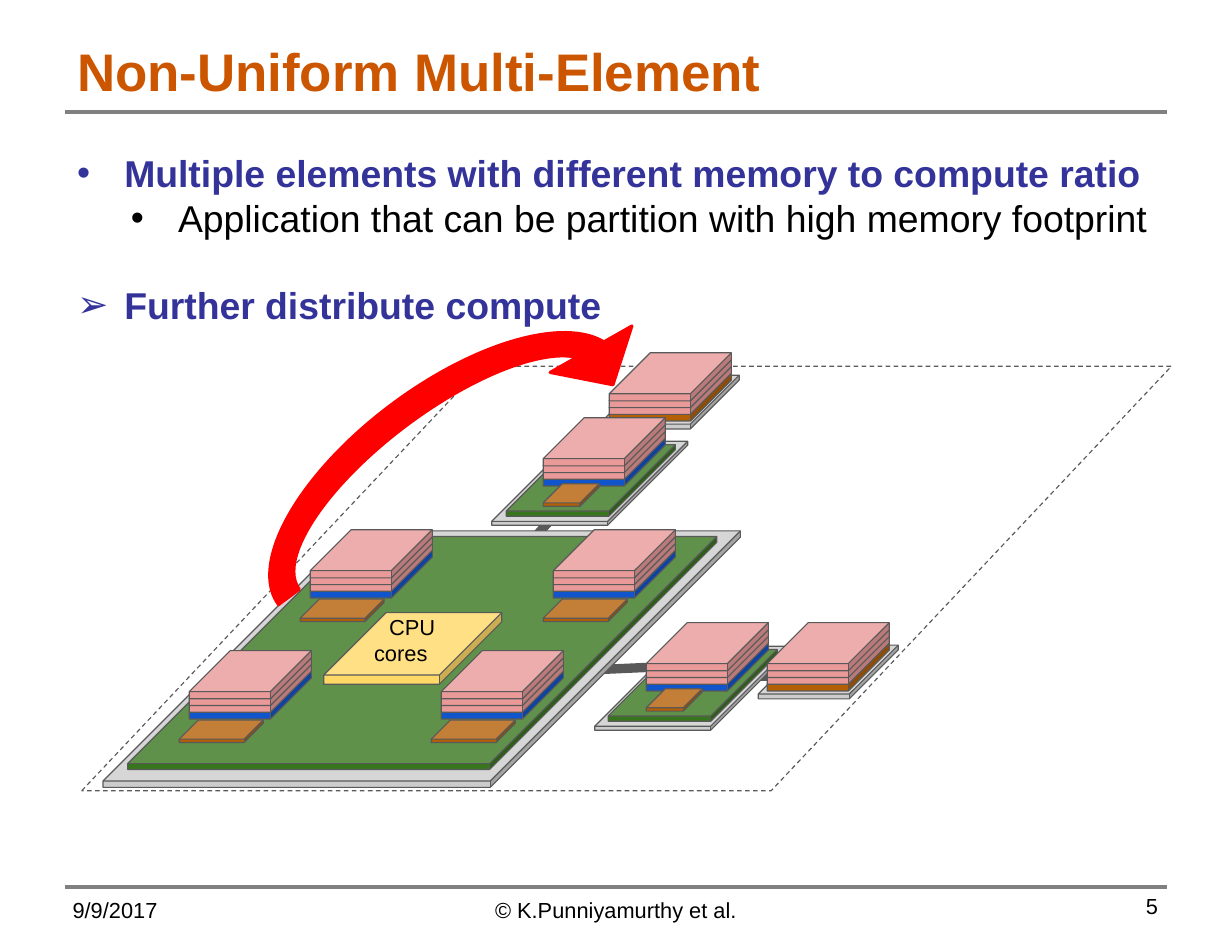
from dataclasses import dataclass
from typing import NamedTuple

from lxml.etree import SubElement
from pptx import Presentation
from pptx.dml.color import RGBColor
from pptx.enum.dml import MSO_LINE
from pptx.enum.shapes import MSO_CONNECTOR, MSO_SHAPE
from pptx.enum.text import MSO_ANCHOR, PP_ALIGN
from pptx.oxml.ns import qn
from pptx.util import Emu, Pt

SCALE = 9144  # EMU per px, 100 px to the inch
FONT = "Arial"

ORANGE = RGBColor(0xCC, 0x55, 0x00)
NAVY = RGBColor(0x33, 0x33, 0x99)
BLACK = RGBColor(0x00, 0x00, 0x00)
RULE_GRAY = RGBColor(0x80, 0x80, 0x80)
OUTLINE = RGBColor(0x59, 0x59, 0x59)
PLATE = RGBColor(0xCC, 0xCC, 0xCC)
GREEN = RGBColor(0x38, 0x76, 0x1D)
BROWN = RGBColor(0xB4, 0x5F, 0x06)
BLUE = RGBColor(0x11, 0x55, 0xCC)
PINK = RGBColor(0xEA, 0x99, 0x99)
YELLOW = RGBColor(0xFF, 0xD9, 0x66)
RED = RGBColor(0xFF, 0x00, 0x00)


class Slab(NamedTuple):
    """A kind of cube: size, depth and colour."""
    w: int
    h: int
    depth: float
    color: RGBColor


BOARD_PLATE = Slab(569, 229, 0.975, PLATE)
BOARD = Slab(526, 208, 0.975, GREEN)
NODE_PLATE = Slab(175, 75, 0.953, PLATE)
NODE = Slab(151, 64, 0.927, GREEN)
MEMORY_PLATE = Slab(125, 48, 0.91, PLATE)
CPU = Slab(159, 64, 0.871, YELLOW)
ACCELERATOR = Slab(75, 20, 0.851, BROWN)
NODE_ACCELERATOR = Slab(50, 20, 0.851, BROWN)
DRAM = Slab(109, 43, 0.851, PINK)
LOGIC = DRAM._replace(color=BLUE)
MEMORY_BASE = DRAM._replace(color=BROWN)
LAYER_STEP = 6


@dataclass
class Line:
    text: str
    size: int = 14
    color: RGBColor = BLACK
    bold: bool = False
    align: PP_ALIGN = PP_ALIGN.LEFT
    bullet: str = ""
    level: int = 0
    margin: int = 0
    indent: int = 0


def px(*values: int) -> list[Emu]:
    return [Emu(v * SCALE) for v in values]


def add_line(sp, x1: int, y1: int, x2: int, y2: int, color: RGBColor, width: float) -> None:
    c = sp.add_connector(MSO_CONNECTOR.STRAIGHT, *px(x1, y1, x2, y2))
    c.line.color.rgb = color
    c.line.width = Pt(width)
    SubElement(c._element.spPr, qn("a:effectLst"))


def add_preset(sp, kind: MSO_SHAPE, box: tuple, adjust: list[float],
               fill: RGBColor | None, line: RGBColor, width: float):
    s = sp.add_shape(kind, *px(*box))
    s.shadow.inherit = False
    for i, value in enumerate(adjust):
        s.adjustments[i] = value
    if fill is None:
        s.fill.background()
    else:
        s.fill.solid()
        s.fill.fore_color.rgb = fill
    s.line.color.rgb = line
    s.line.width = Pt(width)
    return s


def add_slab(sp, slab: Slab, x: int, y: int) -> None:
    add_preset(sp, MSO_SHAPE.CUBE, (x, y, slab.w, slab.h), [slab.depth],
               slab.color, OUTLINE, 0.75)


def add_stack(sp, base: Slab, x: int, y: int) -> None:
    """Three memory layers on a base; y is the top of the uppermost layer."""
    for level, slab in zip((3, 2, 1, 0), (base, DRAM, DRAM, DRAM)):
        add_slab(sp, slab, x, y + level * LAYER_STEP)


def add_text(sp, box: tuple, lines: list[Line], inset: tuple = (11, 6, 11, 6),
             anchor: MSO_ANCHOR = MSO_ANCHOR.TOP):
    s = sp.add_textbox(*px(*box))
    tf = s.text_frame
    left, top, right, bottom = px(*inset)
    frame = {"word_wrap": True, "vertical_anchor": anchor, "margin_left": left,
             "margin_top": top, "margin_right": right, "margin_bottom": bottom}
    for name, value in frame.items():
        setattr(tf, name, value)
    for i, item in enumerate(lines):
        p = tf.add_paragraph() if i else tf.paragraphs[0]
        p.text = item.text
        p.alignment = item.align
        p.level = item.level
        pPr = p._p.get_or_add_pPr()
        pPr.set("marL", str(item.margin * SCALE))
        pPr.set("indent", str(item.indent * SCALE))
        if item.bullet:
            SubElement(SubElement(pPr, qn("a:buClr")), qn("a:srgbClr")).set("val", str(item.color))
            SubElement(pPr, qn("a:buFont")).set("typeface", FONT)
            SubElement(pPr, qn("a:buChar")).set("char", item.bullet)
        for r in p.runs:
            for name, value in {"name": FONT, "size": Pt(item.size), "bold": item.bold}.items():
                setattr(r.font, name, value)
            r.font.color.rgb = item.color
    return s


def draw_system(sp) -> None:
    # Package outline
    s = add_preset(sp, MSO_SHAPE.PARALLELOGRAM, (73, 327, 973, 379), [0.943], None, OUTLINE, 0.75)
    s.line.dash_style = MSO_LINE.DASH

    # Links, node plates and main board
    add_line(sp, 480, 477, 506, 448, OUTLINE, 6)
    add_slab(sp, NODE_PLATE, 439, 394)
    add_line(sp, 669, 604, 698, 604, OUTLINE, 6)
    add_slab(sp, NODE_PLATE, 531, 577)
    add_slab(sp, NODE, 543, 580)
    add_line(sp, 531, 598, 598, 595, OUTLINE, 6)
    add_slab(sp, BOARD_PLATE, 92, 474)
    add_slab(sp, BOARD, 114, 479)

    # Memory-only elements, CPU and right node
    add_slab(sp, MEMORY_PLATE, 535, 335)
    add_stack(sp, MEMORY_BASE, 544, 315)
    add_slab(sp, CPU, 289, 547)
    add_stack(sp, LOGIC, 577, 556)
    add_slab(sp, MEMORY_PLATE, 677, 576)
    add_stack(sp, MEMORY_BASE, 685, 556)
    add_slab(sp, NODE_ACCELERATOR, 577, 615)

    # Stacks on the main board, each with an accelerator in front
    for x, y in ((394, 581), (494, 473), (169, 581), (277, 473)):
        add_stack(sp, LOGIC, x, y)
        add_slab(sp, ACCELERATOR, x - 9, y + 62)

    # Upper node
    add_slab(sp, NODE, 452, 397)
    add_stack(sp, LOGIC, 485, 373)
    add_slab(sp, NODE_ACCELERATOR, 485, 432)

    # CPU label
    s = add_text(sp, (303, 527, 110, 66),
                 [Line("CPU\vcores", align=PP_ALIGN.CENTER, indent=20)], (10, 21, 10, 10))
    s.rotation = 0.3

    # Distribution arrow
    s = add_preset(sp, MSO_SHAPE.CIRCULAR_ARROW, (181, 314, 437, 227),
                   [0.101, 7.474, 212.79, 108, 0.185], RED, RED, 2)
    s.rotation = 323.3


def main() -> None:
    prs = Presentation()
    prs.slide_width, prs.slide_height = px(1100, 850)
    sp = prs.slides.add_slide(prs.slide_layouts[6]).shapes

    # Rules and title
    for y in (100, 792):
        add_line(sp, 58, y, 1042, y, RULE_GRAY, 2.25)
    add_text(sp, (58, 25, 983, 75), [Line("Non-Uniform Multi-Element", 34, ORANGE, True)],
             anchor=MSO_ANCHOR.MIDDLE)

    draw_system(sp)

    # Bullets
    add_text(sp, (58, 128, 1010, 115), [
        Line("Multiple elements with different memory to compute ratio", 24, NAVY, True,
             bullet="•", margin=42, indent=-42),
        Line("Application that can be partition with high memory footprint", 24,
             bullet="•", level=1, margin=90, indent=-42),
    ])
    add_text(sp, (58, 246, 1020, 82), [
        Line("Further distribute compute", 24, NAVY, True, bullet="➢", margin=42, indent=-42)])

    # Footer
    add_text(sp, (788, 791, 257, 42), [Line("5", align=PP_ALIGN.RIGHT)])
    add_text(sp, (55, 791, 257, 42), [Line("9/9/2017")], (10, 10, 10, 10))
    add_text(sp, (376, 791, 348, 42),
             [Line("© K.Punniyamurthy et al.", align=PP_ALIGN.CENTER)], (10, 10, 10, 10))

    prs.save("out.pptx")


if __name__ == "__main__":
    main()
